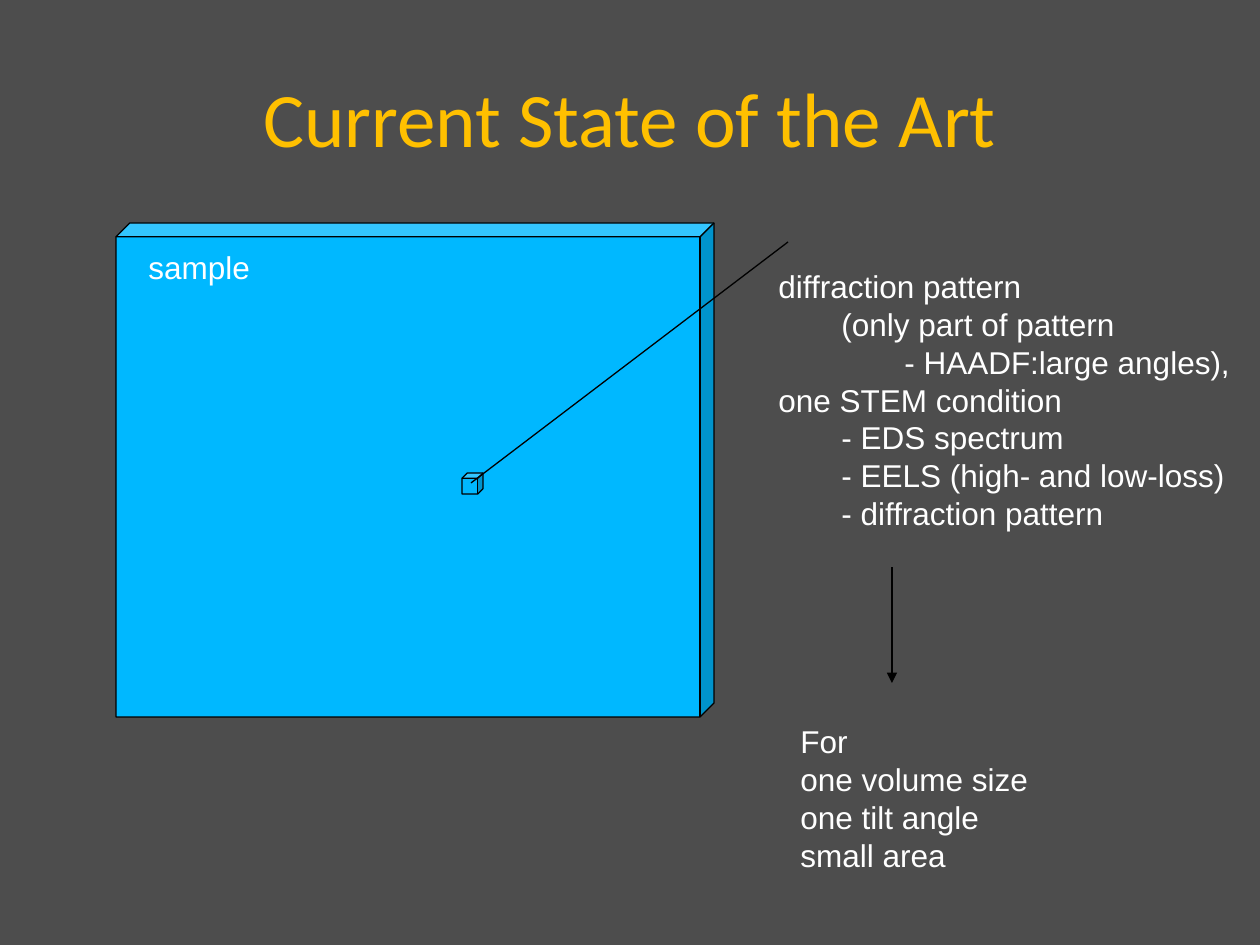
"""Build the slide on the current state of the art in sample analysis."""
from lxml.etree import SubElement
from pptx import Presentation
from pptx.dml.color import RGBColor
from pptx.enum.shapes import MSO_CONNECTOR, MSO_SHAPE
from pptx.enum.text import MSO_ANCHOR, PP_ALIGN
from pptx.oxml.ns import qn
from pptx.util import Emu, Pt

PX_PER_INCH = 126
INDENT = 63
COLORS = {
    "background": "4D4D4D",
    "title": "FFC000",
    "text": "FFFFFF",
    "sample": "00B8FF",
    "line": "000000",
}
MEASUREMENTS = [
    (0, "diffraction pattern"),
    (1, "(only part of pattern"),
    (2, "- HAADF:large angles),"),
    (0, "one STEM condition"),
    (1, "- EDS spectrum"),
    (1, "- EELS (high- and low-loss)"),
    (1, "- diffraction pattern"),
]
LIMITS = ["For", "one volume size", "one tilt angle", "small area"]


def px(value):
    return Emu(round(value * 914400 / PX_PER_INCH))


def color(name):
    return RGBColor.from_string(COLORS[name])


def style_line(line):
    line.color.rgb = color("line")
    line.width = Pt(0.75)


def add_text(page, bounds, lines, size=18, font="Arial", fill="text",
             align=PP_ALIGN.LEFT, anchor=MSO_ANCHOR.TOP, wrap=False):
    box = page.shapes.add_textbox(*map(px, bounds))
    frame = box.text_frame
    frame.word_wrap = wrap
    frame.vertical_anchor = anchor
    for index, (level, text) in enumerate(lines):
        para = frame.add_paragraph() if index else frame.paragraphs[0]
        para.alignment = align
        if level:
            para._p.get_or_add_pPr().set("marL", str(px(level * INDENT)))
        span = para.add_run()
        span.text = text
        span.font.size = Pt(size)
        span.font.name = font
        span.font.color.rgb = color(fill)


def add_cube(page, bounds, depth=0.25):
    cube = page.shapes.add_shape(MSO_SHAPE.CUBE, *map(px, bounds))
    cube.adjustments[0] = depth
    cube.shadow.inherit = False
    cube.fill.solid()
    cube.fill.fore_color.rgb = color("sample")
    style_line(cube.line)


def add_line(page, start, end, arrow=False):
    connector = page.shapes.add_connector(
        MSO_CONNECTOR.STRAIGHT, *map(px, start + end))
    style_line(connector.line)
    if arrow:
        SubElement(connector.line._get_or_add_ln(), qn("a:tailEnd"), type="triangle")
    SubElement(connector._element.spPr, qn("a:effectLst"))


def main():
    deck = Presentation()
    deck.slide_width, deck.slide_height = px(1260), px(945)
    page = deck.slides.add_slide(deck.slide_layouts[6])
    page.background.fill.solid()
    page.background.fill.fore_color.rgb = color("background")

    add_text(page, (0, 18, 1260, 198), [(0, "Current State of the Art")],
             size=44, font="Calibri", fill="title",
             align=PP_ALIGN.CENTER, anchor=MSO_ANCHOR.MIDDLE, wrap=True)
    add_cube(page, (116, 223, 598, 494), depth=0.028)
    add_cube(page, (462, 473, 21, 21))
    add_line(page, (471, 483), (788, 242))
    add_text(page, (136, 242, 128, 50), [(0, "sample")])
    add_line(page, (892, 567), (892, 683), arrow=True)
    add_text(page, (788, 716, 256, 165), [(0, text) for text in LIMITS])
    add_text(page, (766, 261, 921, 318), MEASUREMENTS, wrap=True)
    deck.save("out.pptx")


if __name__ == "__main__":
    main()
